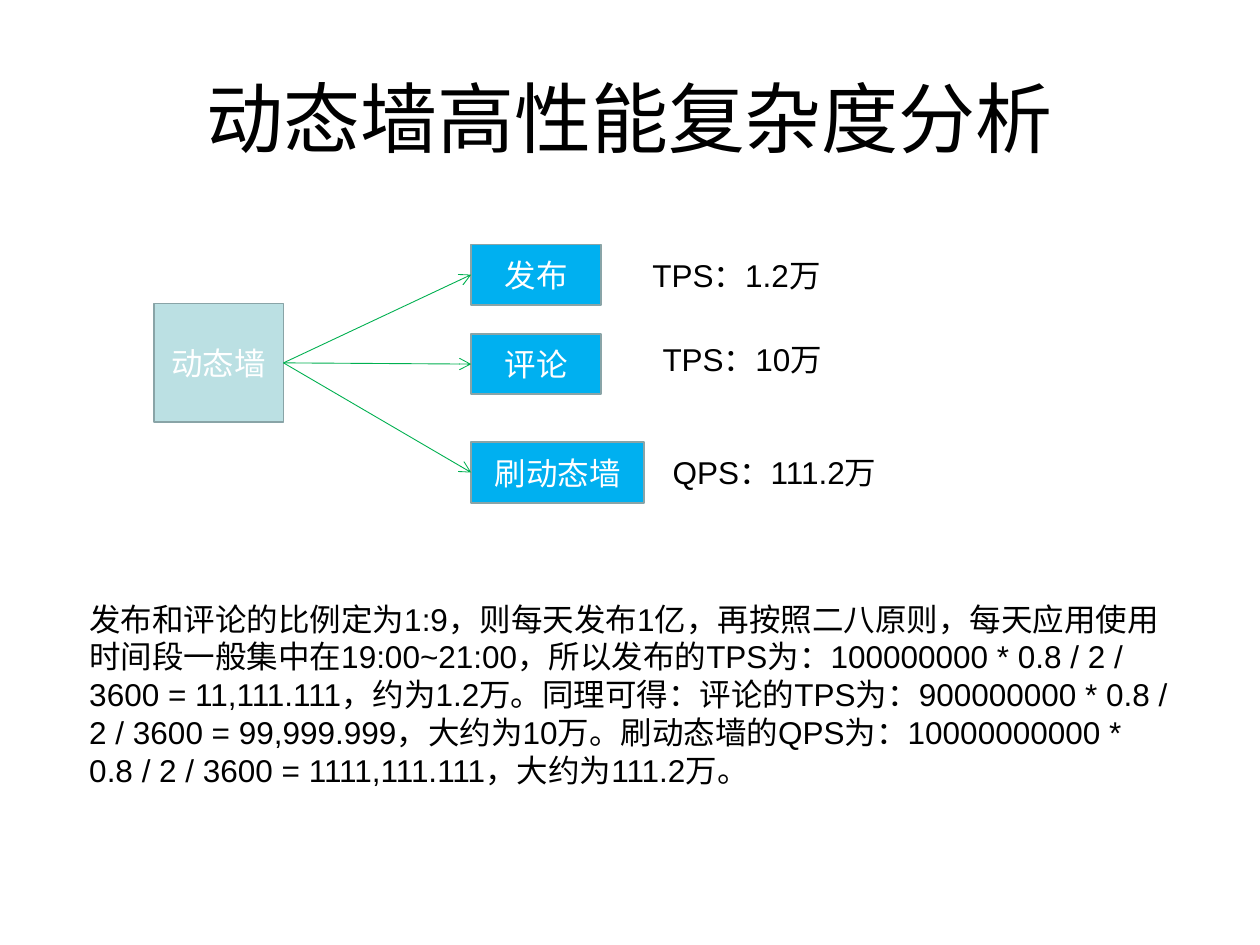
"""Build a slide on the throughput of a social feed."""
from lxml.etree import SubElement
from pptx import Presentation
from pptx.dml.color import RGBColor
from pptx.enum.shapes import MSO_CONNECTOR, MSO_SHAPE
from pptx.enum.text import MSO_ANCHOR, MSO_AUTO_SIZE, PP_ALIGN
from pptx.oxml.ns import qn
from pptx.util import Inches, Pt

BLACK, WHITE = "000000", "FFFFFF"
PALE, BLUE, BORDER, GREEN = "BBE0E3", "00B0F0", "89A4A7", "00B050"
ROOT = (1.22, 2.41, 1.03, 0.94)
BRANCH_LEFT, BRANCH_HEIGHT = 3.74, 0.48
BRANCHES = [
    ("发布", 1.94, 1.03, "TPS：1.2万", 5.08, 1.98),
    ("评论", 2.65, 1.03, "TPS：10万", 5.16, 2.65),
    ("刷动态墙", 3.51, 1.37, "QPS：111.2万", 5.24, 3.55),
]
EXPLANATION = (
    "发布和评论的比例定为1:9，则每天发布1亿，再按照二八原则，"
    "每天应用使用时间段一般集中在19:00~21:00，"
    "所以发布的TPS为：100000000 * 0.8 / 2 / 3600 = 11,111.111，约为1.2万。"
    "同理可得：评论的TPS为：900000000 * 0.8 / 2 / 3600 = 99,999.999，大约为10万。"
    "刷动态墙的QPS为：10000000000 * 0.8 / 2 / 3600 = 1111,111.111，大约为111.2万。"
)


def color(value):
    """Turn a hex string into a colour."""
    return RGBColor.from_string(value)


def write_text(shape, text, size, ink, align, anchor):
    """Write one formatted paragraph into a shape."""
    frame = shape.text_frame
    frame.word_wrap = True
    frame.vertical_anchor = anchor
    paragraph = frame.paragraphs[0]
    paragraph.alignment = align
    run = paragraph.add_run()
    run.text = text
    for name, value in {"name": "Arial", "size": Pt(size)}.items():
        setattr(run.font, name, value)
    run.font.color.rgb = color(ink)


def add_text(slide, box, text, size=18, align=PP_ALIGN.LEFT, anchor=MSO_ANCHOR.TOP):
    """Add a wrapped text box and return it."""
    shape = slide.shapes.add_textbox(*map(Inches, box))
    write_text(shape, text, size, BLACK, align, anchor)
    return shape


def add_note(slide, box, text):
    """Add a text box that grows with its text."""
    add_text(slide, box, text).text_frame.auto_size = MSO_AUTO_SIZE.SHAPE_TO_FIT_TEXT


def add_node(slide, box, text, fill):
    """Add a bordered rectangle with a centred label."""
    shape = slide.shapes.add_shape(MSO_SHAPE.RECTANGLE, *map(Inches, box))
    shape.shadow.inherit = False
    shape.fill.solid()
    shape.fill.fore_color.rgb = color(fill)
    shape.line.color.rgb = color(BORDER)
    shape.line.width = Pt(1)
    write_text(shape, text, 18, WHITE, PP_ALIGN.CENTER, MSO_ANCHOR.MIDDLE)


def add_arrow(slide, start, end):
    """Add a thin green line with an open arrowhead at its end."""
    arrow = slide.shapes.add_connector(MSO_CONNECTOR.STRAIGHT, *map(Inches, start + end))
    arrow.line.color.rgb = color(GREEN)
    arrow.line.width = Pt(0.5)
    SubElement(arrow.line._get_or_add_ln(), qn("a:tailEnd"), type="arrow")
    SubElement(arrow._element.spPr, qn("a:effectLst"))


def main():
    """Build and save the slide."""
    presentation = Presentation()
    presentation.slide_width, presentation.slide_height = Inches(10), Inches(7.5)
    slide = presentation.slides.add_slide(presentation.slide_layouts[6])
    add_text(slide, (0.5, 0.3, 9, 1.25), "动态墙高性能复杂度分析", 44,
             PP_ALIGN.CENTER, MSO_ANCHOR.MIDDLE)
    add_node(slide, ROOT, "动态墙", PALE)
    left, top, width, height = ROOT
    start = (left + width, top + height / 2)
    for label, branch_top, branch_width, rate, rate_left, rate_top in BRANCHES:
        add_node(slide, (BRANCH_LEFT, branch_top, branch_width, BRANCH_HEIGHT), label, BLUE)
        add_arrow(slide, start, (BRANCH_LEFT, branch_top + BRANCH_HEIGHT / 2))
        add_note(slide, (rate_left, rate_top, 3.35, 0.4), rate)
    add_note(slide, (0.61, 4.71, 8.88, 1.6), EXPLANATION)
    presentation.save("out.pptx")


if __name__ == "__main__":
    main()
